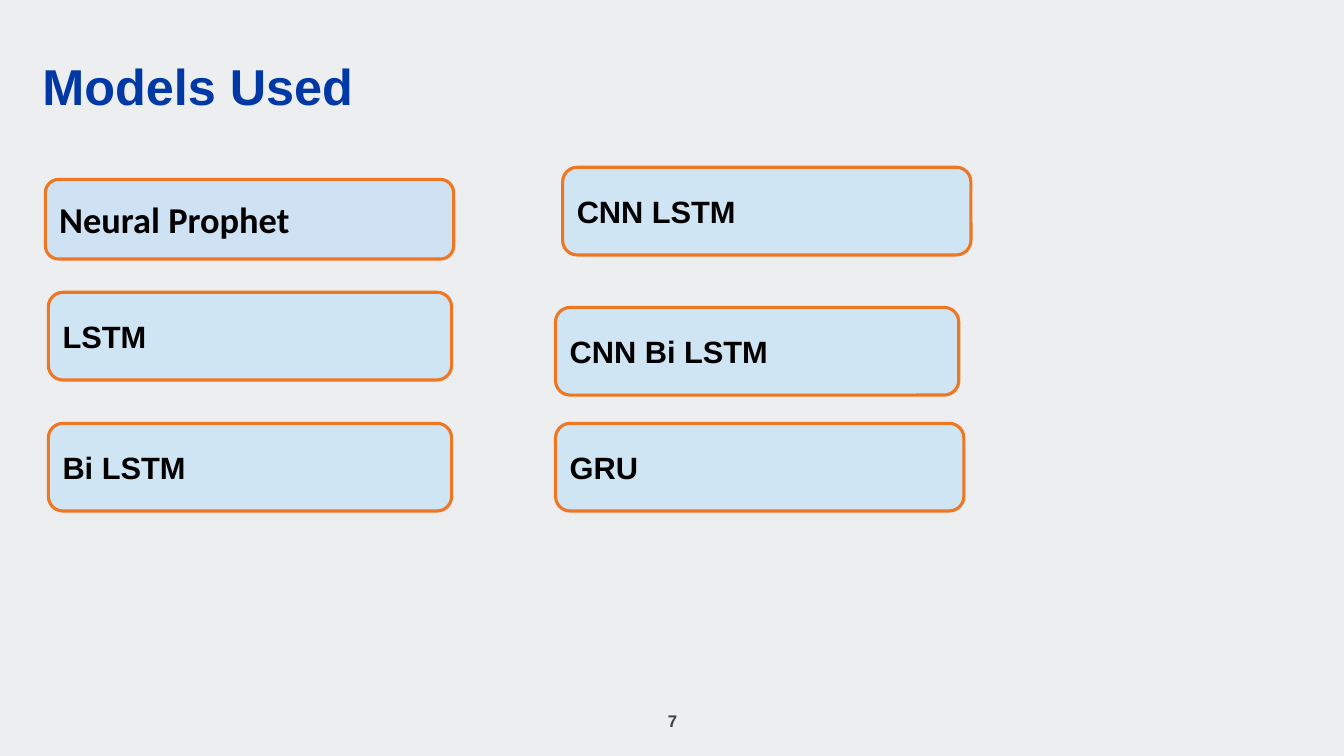
from dataclasses import dataclass

from pptx import Presentation
from pptx.dml.color import RGBColor
from pptx.enum.shapes import MSO_SHAPE
from pptx.enum.text import MSO_ANCHOR, MSO_AUTO_SIZE, PP_ALIGN
from pptx.util import Inches, Pt

ROUNDED = MSO_SHAPE.ROUNDED_RECTANGLE
MIDDLE, BOTTOM = MSO_ANCHOR.MIDDLE, MSO_ANCHOR.BOTTOM
LEFT, CENTER = PP_ALIGN.LEFT, PP_ALIGN.CENTER
NO_AUTOFIT = MSO_AUTO_SIZE.NONE
TITLE_ONLY = 5


@dataclass(frozen=True)
class Theme:
    background: str = "EDEEEF"
    title: str = "0039A6"
    number: str = "404041"
    text: str = "000000"
    card: str = "D0E5F3"
    highlight: str = "CFE2F3"
    border: str = "EF7622"
    font: str = "Arial"
    highlight_font: str = "Calibri"
    title_size: int = 36
    highlight_size: int = 26
    card_size: int = 22
    number_size: int = 12
    border_width: float = 2.25


THEME = Theme()


def rgb(value):
    return RGBColor.from_string(value)


def write(sp, text, size, color, align, anchor, margins, font=THEME.font):
    """Put one bold line of text in a shape."""
    tf = sp.text_frame
    tf.word_wrap = True
    tf.auto_size = NO_AUTOFIT
    tf.vertical_anchor = anchor
    side, edge = margins
    tf.margin_left = tf.margin_right = Inches(side)
    tf.margin_top = tf.margin_bottom = Inches(edge)
    p = tf.paragraphs[0]
    p.alignment = align
    r = p.add_run()
    r.text = text
    r.font.name = font
    r.font.size = Pt(size)
    r.font.bold = True
    r.font.color.rgb = rgb(color)
    return p


def add_title(slide, text, x, y, w, h):
    sp = slide.shapes.title
    sp.left, sp.top, sp.width, sp.height = map(Inches, (x, y, w, h))
    p = write(sp, text, THEME.title_size, THEME.title, LEFT, BOTTOM, (0, 0))
    p.line_spacing = 0.9


def add_page_number(slide, number, x, y, w, h):
    sp = slide.shapes.add_textbox(*map(Inches, (x, y, w, h)))
    write(sp, number, THEME.number_size, THEME.number, CENTER, MIDDLE, (0.1, 0.05))


def add_card(slide, name, x, y, w, h, highlighted=False):
    sp = slide.shapes.add_shape(ROUNDED, *map(Inches, (x, y, w, h)))
    sp.adjustments[0] = 0.167
    sp.shadow.inherit = False
    sp.fill.solid()
    sp.fill.fore_color.rgb = rgb(THEME.highlight if highlighted else THEME.card)
    sp.line.color.rgb = rgb(THEME.border)
    sp.line.width = Pt(THEME.border_width)
    size = THEME.highlight_size if highlighted else THEME.card_size
    font = THEME.highlight_font if highlighted else THEME.font
    write(sp, name, size, THEME.text, LEFT, MIDDLE, (0.1, 0.1), font)


def add_models(slide, x, y):
    """Place the two columns of model cards from the corner (x, y)."""
    narrow, wide, height, right = 4, 4.05, 0.87, 5.06
    add_card(slide, "Neural Prophet", x, y + 0.12, wide, 0.79, highlighted=True)
    cards = [
        ("LSTM", 0.03, 1.24, narrow),
        ("Bi LSTM", 0.03, 2.54, narrow),
        ("CNN LSTM", right + 0.07, 0, wide),
        ("CNN Bi LSTM", right, 1.39, narrow),
        ("GRU", right, 2.54, wide),
    ]
    for name, dx, dy, width in cards:
        add_card(slide, name, x + dx, y + dy, width, height)


def main():
    prs = Presentation()
    prs.slide_width, prs.slide_height = Inches(13.33), Inches(7.5)
    slide = prs.slides.add_slide(prs.slide_layouts[TITLE_ONLY])

    # Background
    fill = slide.background.fill
    fill.solid()
    fill.fore_color.rgb = rgb(THEME.background)

    # Title, model cards and page number
    add_title(slide, "Models Used", 0.42, 0.61, 12.5, 0.55)
    add_models(slide, 0.45, 1.66)
    add_page_number(slide, "7", 5.17, 6.95, 3, 0.4)

    prs.save("out.pptx")


if __name__ == "__main__":
    main()
